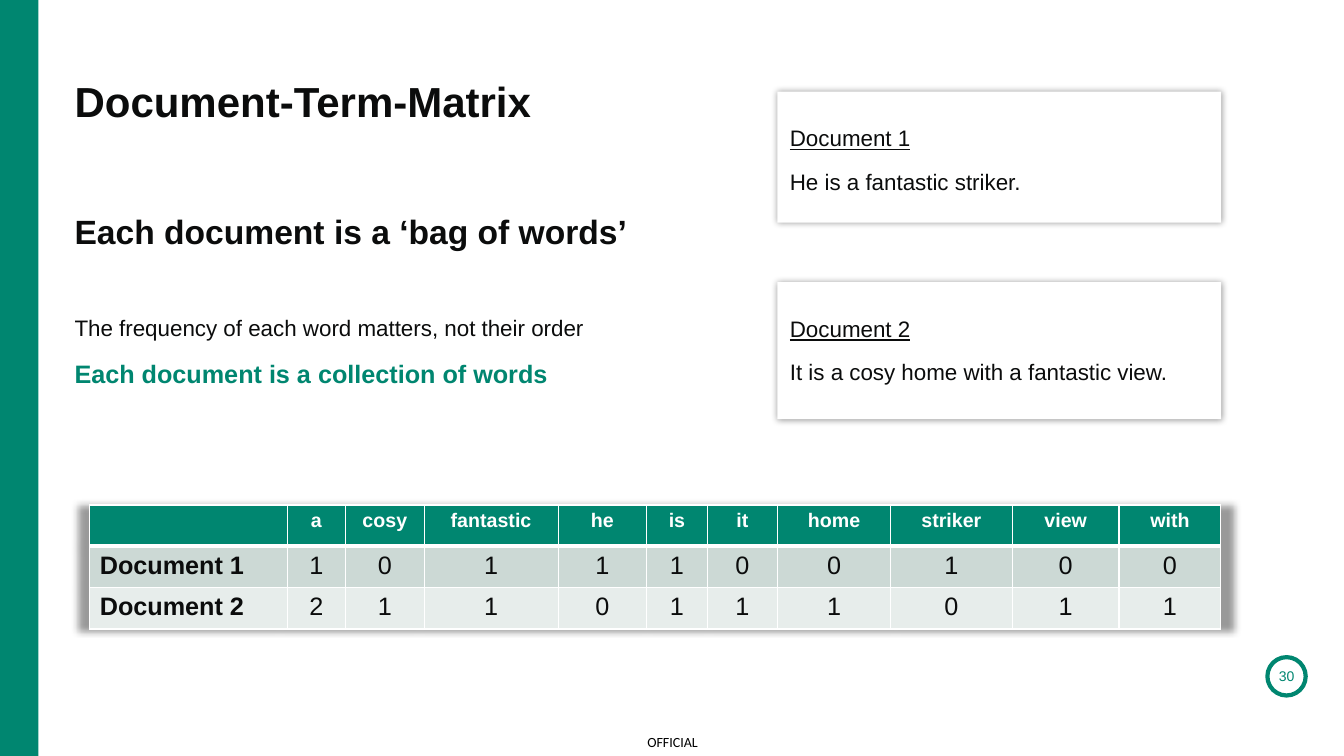
import dataclasses

import lxml.etree
import pptx
import pptx.dml.color
import pptx.enum.shapes
import pptx.enum.text
import pptx.oxml
import pptx.oxml.ns
import pptx.util

ALIGN = pptx.enum.text.PP_ALIGN
ANCHOR = pptx.enum.text.MSO_ANCHOR
SHAPE = pptx.enum.shapes.MSO_SHAPE
SLIDE_WIDTH = pptx.util.Inches(13.33)
SLIDE_HEIGHT = pptx.util.Inches(7.5)


@dataclasses.dataclass(frozen=True)
class Theme:
    """Colours, fonts and type sizes of the slide."""
    green: str = "008670"
    ink: str = "0B0C0C"
    black: str = "000000"
    white: str = "FFFFFF"
    bands: tuple = ("CCD9D5", "E7EDEB")
    font: str = "Arial"
    marking_font: str = "Calibri"
    title: int = 30
    subtitle: int = 24
    strong: int = 18
    text: int = 16
    header: int = 14
    small: int = 10
    line_spacing: float = 1.1
    gap: int = 10


THEME = Theme()


@dataclasses.dataclass(frozen=True)
class Box:
    """A region given in percent of the slide's width and height."""
    left: float
    top: float
    width: float
    height: float

    def lengths(self):
        """Return left, top, width and height as slide lengths."""
        sides = (SLIDE_WIDTH, SLIDE_HEIGHT) * 2
        shares = (self.left, self.top, self.width, self.height)
        return [round(side * share / 100) for side, share in zip(sides, shares)]


def rgb(colour):
    """Return a colour object for a hex string."""
    return pptx.dml.color.RGBColor.from_string(colour)


def add_run(paragraph, text, size, colour=THEME.ink, bold=False, underline=False, font=THEME.font):
    """Add one formatted run to a paragraph."""
    run = paragraph.add_run()
    run.text = text
    run.font.name = font
    run.font.size = pptx.util.Pt(size)
    run.font.bold = bold
    run.font.underline = underline
    run.font.color.rgb = rgb(colour)


def prepare_frame(shape, anchor=ANCHOR.TOP, left=0, top=0):
    """Set wrapping, anchor and insets of a shape's text frame."""
    frame = shape.text_frame
    frame.word_wrap = True
    frame.auto_size = pptx.enum.text.MSO_AUTO_SIZE.NONE
    frame.vertical_anchor = anchor
    frame.margin_left, frame.margin_top = left, top
    frame.margin_right = frame.margin_bottom = 0
    return frame


def write_lines(frame, lines, align=ALIGN.LEFT):
    """Write one paragraph for each set of run settings."""
    for index, line in enumerate(lines):
        paragraph = frame.add_paragraph() if index else frame.paragraphs[0]
        paragraph.alignment = align
        paragraph.line_spacing = THEME.line_spacing
        if index:
            paragraph.space_before = pptx.util.Pt(THEME.gap)
        add_run(paragraph, **line)


def add_text(slide, box, lines, align=ALIGN.LEFT, anchor=ANCHOR.TOP):
    """Place a text box without insets."""
    shape = slide.shapes.add_textbox(*box.lengths())
    write_lines(prepare_frame(shape, anchor), lines, align)


def add_panel(slide, box, kind, fill):
    """Place a plain shape with neither line nor shadow."""
    shape = slide.shapes.add_shape(kind, *box.lengths())
    shape.shadow.inherit = False
    shape.line.fill.background()
    if fill:
        shape.fill.solid()
        shape.fill.fore_color.rgb = rgb(fill)
    else:
        shape.fill.background()
    return shape


def add_shadow(effects, scale=100):
    """Add a soft centred shadow to an effect list."""
    effects.append(pptx.oxml.parse_xml(
        f'<a:outerShdw {pptx.oxml.ns.nsdecls("a")} blurRad="{pptx.util.Pt(5)}" '
        f'sx="{scale * 1000}" algn="ctr" rotWithShape="0">'
        f'<a:srgbClr val="{THEME.black}"><a:alpha val="40000"/></a:srgbClr></a:outerShdw>'))


def add_title(slide, box, text):
    """Move the title placeholder into its box and write the title."""
    title = slide.shapes.title
    title.left, title.top, title.width, title.height = box.lengths()
    paragraph = prepare_frame(title, ANCHOR.BOTTOM).paragraphs[0]
    paragraph.alignment = ALIGN.LEFT
    add_run(paragraph, text, THEME.title, bold=True)


def add_document_card(slide, box, heading, sentence):
    """Place a shadowed card with an underlined heading and a sentence."""
    card = add_panel(slide, box, SHAPE.RECTANGLE, THEME.white)
    add_shadow(card._element.spPr.find(pptx.oxml.ns.qn("a:effectLst")))
    left, top = round(SLIDE_WIDTH * 0.0093), round(SLIDE_HEIGHT * 0.04)
    write_lines(prepare_frame(card, ANCHOR.TOP, left, top), [
        dict(text=heading, size=THEME.text, underline=True),
        dict(text=sentence, size=THEME.text)])


def format_cell(cell, fill, thick_side):
    """Give a cell white borders, one of them perhaps thick, and a fill."""
    properties = cell._tc.get_or_add_tcPr()
    for side in ("lnL", "lnR", "lnT", "lnB"):
        width = pptx.util.Pt(3 if side == thick_side else 1)
        properties.append(pptx.oxml.parse_xml(
            f'<a:{side} {pptx.oxml.ns.nsdecls("a")} w="{width}"><a:solidFill>'
            f'<a:srgbClr val="{THEME.white}"/></a:solidFill></a:{side}>'))
    cell.fill.solid()
    cell.fill.fore_color.rgb = rgb(fill)


def add_matrix(slide, box, weights, rows):
    """Place the word count table; weights share out the column widths."""
    lengths = box.lengths()
    table = slide.shapes.add_table(len(rows), len(weights), *lengths).table
    effects = lxml.etree.Element(pptx.oxml.ns.qn("a:effectLst"))
    add_shadow(effects, scale=102)
    table._tbl.tblPr.insert(0, effects)
    for column, weight in zip(table.columns, weights):
        column.width = round(lengths[2] * weight / sum(weights))
    fills = (THEME.green,) + THEME.bands
    for row, (words, fill) in enumerate(zip(rows, fills)):
        for column, word in enumerate(words):
            cell = table.cell(row, column)
            format_cell(cell, fill, {0: "lnB", 1: "lnT"}.get(row))
            paragraph = cell.text_frame.paragraphs[0]
            paragraph.alignment = ALIGN.CENTER if column else ALIGN.LEFT
            if word:
                add_run(paragraph, word, THEME.strong if row else THEME.header,
                        THEME.ink if row else THEME.white, bold=not (row and column))


def add_page_badge(slide, box, number):
    """Place the ringed page number."""
    badge = add_panel(slide, box, SHAPE.OVAL, None)
    badge.line.color.rgb = rgb(THEME.green)
    badge.line.width = pptx.util.Pt(3)
    paragraph = prepare_frame(badge, ANCHOR.MIDDLE).paragraphs[0]
    paragraph.alignment = ALIGN.CENTER
    add_run(paragraph, number, THEME.small, THEME.green)


def build_matrix_slide(presentation):
    """Build the document-term-matrix slide."""
    slide = presentation.slides.add_slide(presentation.slide_layouts[5])
    add_panel(slide, Box(0, 0, 2.85, 100), SHAPE.RECTANGLE, THEME.green)
    add_text(slide, Box(47.04, 96.13, 6, 3.87), [
        dict(text="OFFICIAL", size=THEME.small, colour=THEME.black, font=THEME.marking_font)],
        ALIGN.CENTER, ANCHOR.MIDDLE)
    add_page_badge(slide, Box(94.3, 86.93, 2.85, 5.07), "30")
    add_title(slide, Box(5.55, 10, 44.41, 6.67), "Document-Term-Matrix")
    add_text(slide, Box(5.55, 27.4, 44.41, 5.47), [
        dict(text="Each document is a ‘bag of words’", size=THEME.subtitle, bold=True)])
    add_text(slide, Box(5.55, 41.2, 44.41, 48.8), [
        dict(text="The frequency of each word matters, not their order", size=THEME.text),
        dict(text="Each document is a collection of words", size=THEME.strong,
             colour=THEME.green, bold=True)])
    add_document_card(slide, Box(57.84, 12.13, 33.01, 17.33),
                      "Document 1", "He is a fantastic striker.")
    add_document_card(slide, Box(57.84, 37.33, 33.01, 18.13),
                      "Document 2", "It is a cosy home with a fantastic view.")
    add_matrix(slide, Box(6.68, 66.8, 84.17, 16.4),
               [1.96, 0.58, 0.78, 1.33, 0.88, 0.6, 0.7, 1.12, 1.21, 1.06, 1.01],
               [["", *"a cosy fantastic he is it home striker view with".split()],
                ["Document 1", *"1011100100"],
                ["Document 2", *"2110111011"]])


def main():
    """Create and save the presentation."""
    presentation = pptx.Presentation()
    presentation.slide_width, presentation.slide_height = SLIDE_WIDTH, SLIDE_HEIGHT
    build_matrix_slide(presentation)
    presentation.save("out.pptx")


if __name__ == "__main__":
    main()
